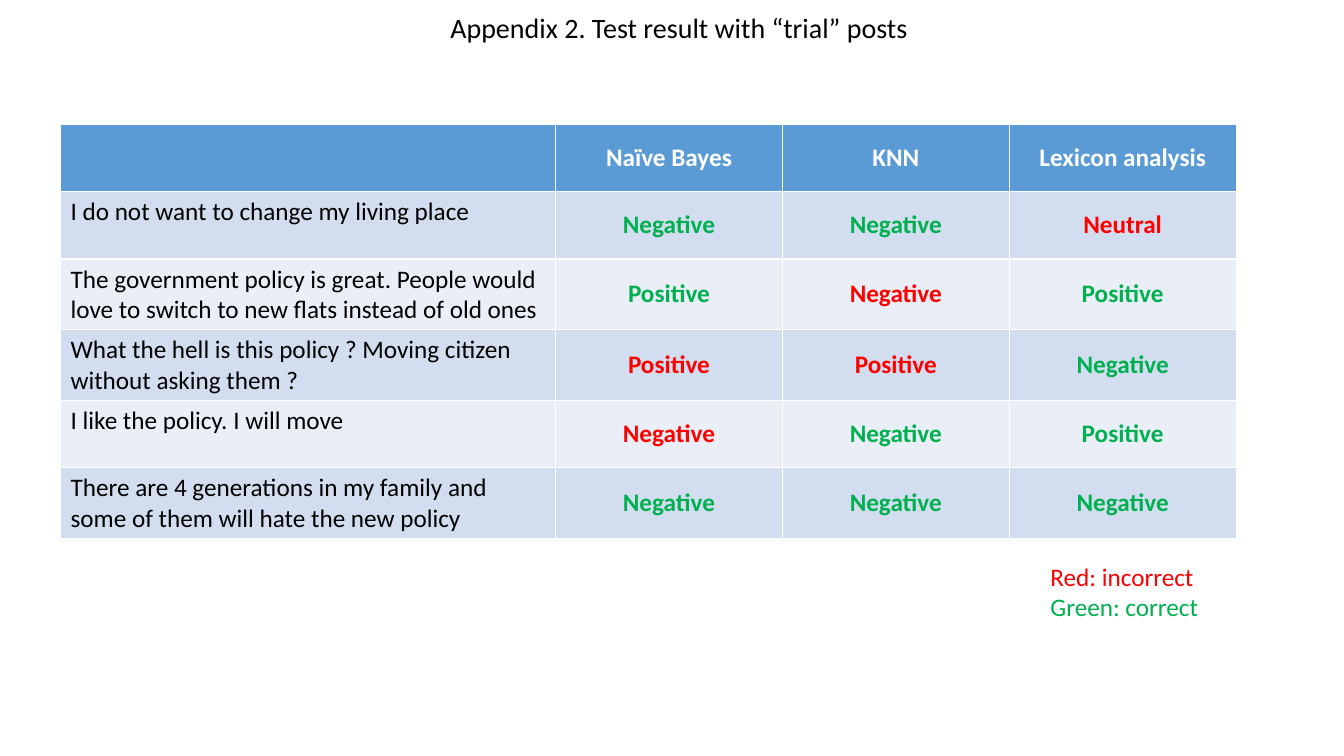
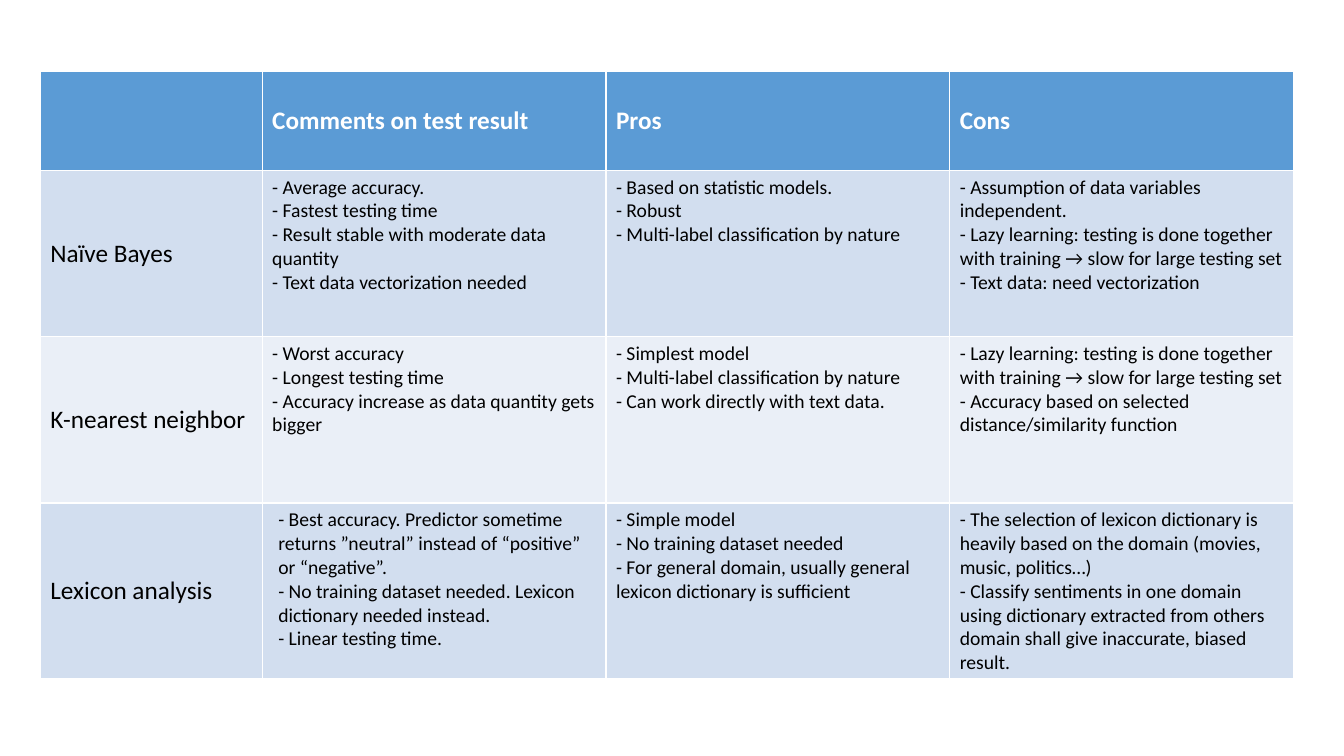
from pptx import Presentation
from pptx.dml.color import RGBColor
from pptx.enum.text import MSO_ANCHOR, MSO_AUTO_SIZE, PP_ALIGN
from pptx.util import Inches, Pt

FONT = "Calibri"
WHITE = RGBColor(0xFF, 0xFF, 0xFF)
BLACK = RGBColor(0x00, 0x00, 0x00)
HEADER = RGBColor(0x5B, 0x9B, 0xD5)
BANDS = (RGBColor(0xEA, 0xEF, 0xF7), RGBColor(0xD2, 0xDE, 0xEF))
GREEN = RGBColor(0x00, 0xB0, 0x50)
RED = RGBColor(0xFF, 0x00, 0x00)

POSTS_HEADER = ("", "Naïve Bayes", "KNN", "Lexicon analysis")
POSTS = (
    ("I do not want to change my living place", "Negative", "Negative", "Neutral"),
    ("The government policy is great. People would love to switch to new flats "
     "instead of old ones", "Positive", "Negative", "Positive"),
    ("What the hell is this policy ? Moving citizen without asking them ?",
     "Positive", "Positive", "Negative"),
    ("I like the policy. I will move", "Negative", "Negative", "Positive"),
    ("There are 4 generations in my family and some of them will hate the new policy",
     "Negative", "Negative", "Negative"),
)
INCORRECT = {(1, 3), (2, 2), (3, 1), (3, 2), (4, 1)}

LAZY = ("- Lazy learning: testing is done together with training → "
        "slow for large testing set")
MULTI_LABEL = "- Multi-label classification by nature"
METHODS_HEADER = ("", "Comments on test result", "Pros", "Cons")
METHODS = (
    ("Naïve Bayes",
     ("- Average accuracy.",
      "- Fastest testing time",
      "- Result stable with moderate data quantity",
      "- Text data vectorization needed"),
     ("- Based on statistic models.", "- Robust", MULTI_LABEL),
     ("- Assumption of data variables independent.",
      LAZY,
      "- Text data: need vectorization")),
    ("K-nearest neighbor",
     ("- Worst accuracy",
      "- Longest testing time",
      "- Accuracy increase as data quantity gets bigger"),
     ("- Simplest model", MULTI_LABEL, "- Can work directly with text data."),
     (LAZY, "- Accuracy based on selected distance/similarity function")),
    ("Lexicon analysis",
     ("- Best accuracy. Predictor sometime returns ”neutral” instead of "
      "“positive” or “negative”.",
      "- No training dataset needed. Lexicon dictionary needed instead.",
      "- Linear testing time."),
     ("- Simple model",
      "- No training dataset needed",
      "- For general domain, usually general lexicon dictionary is sufficient"),
     ("- The selection of lexicon dictionary is heavily based on the domain "
      "(movies, music, politics…)",
      "- Classify sentiments in one domain using dictionary extracted from others "
      "domain shall give inaccurate, biased result.")),
)


def write(tf, lines, size=18, colors=(BLACK,), bold=False, align=PP_ALIGN.LEFT):
    for i, line in enumerate(lines):
        p = tf.paragraphs[0] if i == 0 else tf.add_paragraph()
        p.alignment = align
        p.font.name = FONT
        p.font.size = Pt(size)
        if line:
            r = p.add_run()
            r.text = line
            r.font.bold = bold
            r.font.color.rgb = colors[i % len(colors)]


def add_text(slide, box, lines, **style):
    sp = slide.shapes.add_textbox(*map(Inches, box))
    tf = sp.text_frame
    tf.word_wrap = True
    tf.auto_size = MSO_AUTO_SIZE.SHAPE_TO_FIT_TEXT
    write(tf, lines, **style)


def add_grid(slide, left, top, widths, heights, header, align):
    shape = slide.shapes.add_table(
        len(heights), len(widths), Inches(left), Inches(top),
        Inches(sum(widths)), Inches(sum(heights)))
    table = shape.table
    for column, width in zip(table.columns, widths):
        column.width = Inches(width)
    for i, (row, height) in enumerate(zip(table.rows, heights)):
        row.height = Inches(height)
        for cell in row.cells:
            cell.fill.solid()
            cell.fill.fore_color.rgb = BANDS[i % 2] if i else HEADER
    for cell, label in zip(table.rows[0].cells, header):
        cell.vertical_anchor = MSO_ANCHOR.MIDDLE
        write(cell.text_frame, [label], colors=(WHITE,), bold=True, align=align)
    return table


def add_posts_table(slide, left, top):
    table = add_grid(slide, left, top, [4.91] + [2.25] * 3, [0.67] * 6,
                     POSTS_HEADER, PP_ALIGN.CENTER)
    for i, (post, *verdicts) in enumerate(POSTS, 1):
        write(table.cell(i, 0).text_frame, [post])
        for j, verdict in enumerate(verdicts, 1):
            cell = table.cell(i, j)
            cell.vertical_anchor = MSO_ANCHOR.MIDDLE
            color = RED if (i, j) in INCORRECT else GREEN
            write(cell.text_frame, [verdict], colors=(color,), bold=True,
                  align=PP_ALIGN.CENTER)


def add_methods_table(slide, left, top):
    table = add_grid(slide, left, top, [2.2] + [3.41] * 3, [0.98, 1.65, 1.65, 1.74],
                     METHODS_HEADER, PP_ALIGN.LEFT)
    for i, (method, *notes) in enumerate(METHODS, 1):
        name = table.cell(i, 0)
        name.vertical_anchor = MSO_ANCHOR.MIDDLE
        write(name.text_frame, [method])
        for j, lines in enumerate(notes, 1):
            write(table.cell(i, j).text_frame, lines, size=14)
    table.cell(3, 1).margin_left = Inches(0.16)


def add_posts_slide(prs):
    slide = prs.slides.add_slide(prs.slide_layouts[6])
    add_text(slide, (0.84, 0.06, 11.79, 0.44),
             ["Appendix 2. Test result with “trial” posts"],
             size=20, align=PP_ALIGN.CENTER)
    add_posts_table(slide, 0.6, 1.23)
    add_text(slide, (10.32, 5.52, 2.18, 0.71), ["Red: incorrect", "Green: correct"],
             colors=(RED, GREEN))


def add_methods_slide(prs):
    slide = prs.slides.add_slide(prs.slide_layouts[6])
    add_methods_table(slide, 0.4, 0.71)


prs = Presentation()
prs.slide_width = Inches(13.33)
prs.slide_height = Inches(7.5)
add_posts_slide(prs)
add_methods_slide(prs)
prs.save("out.pptx")
